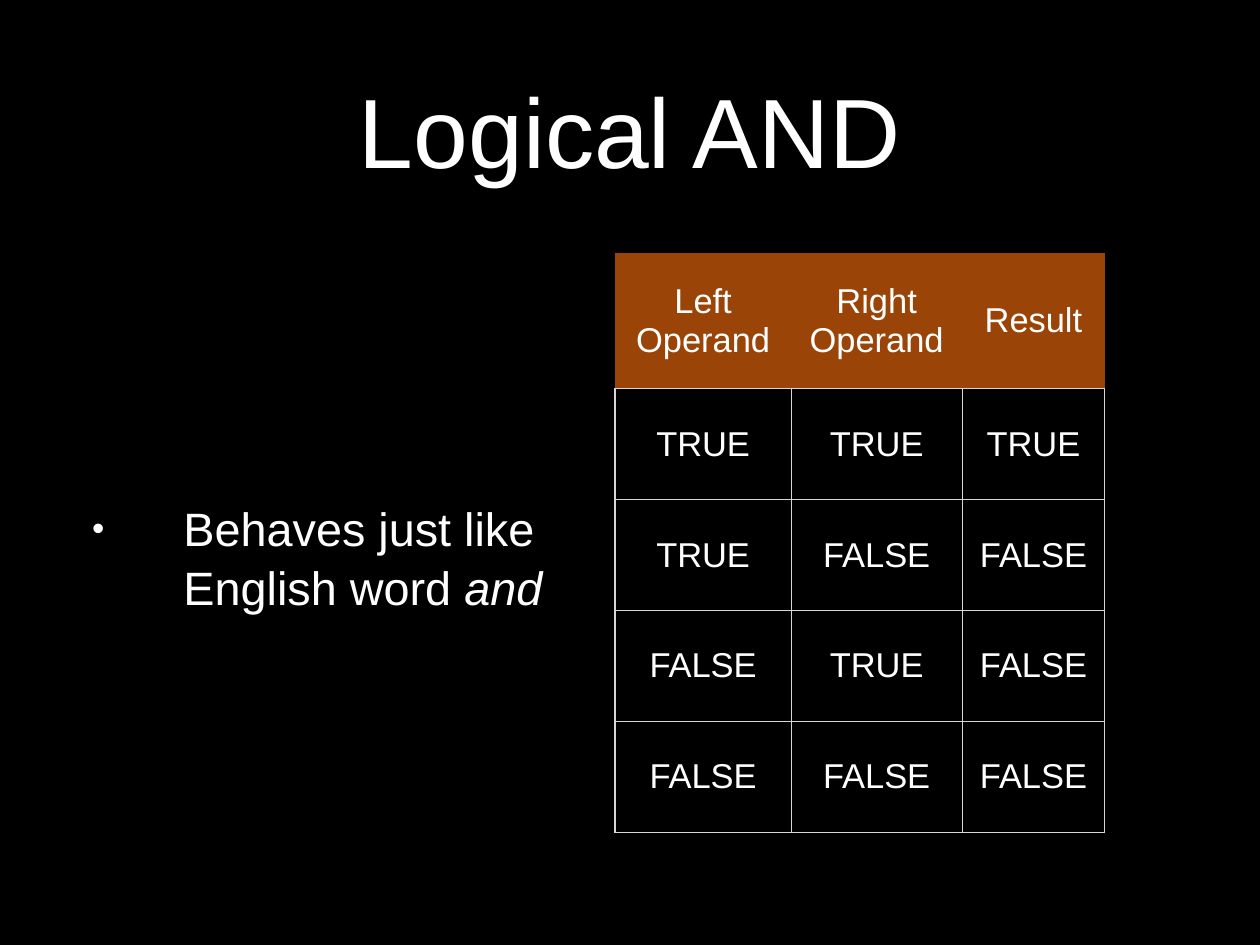
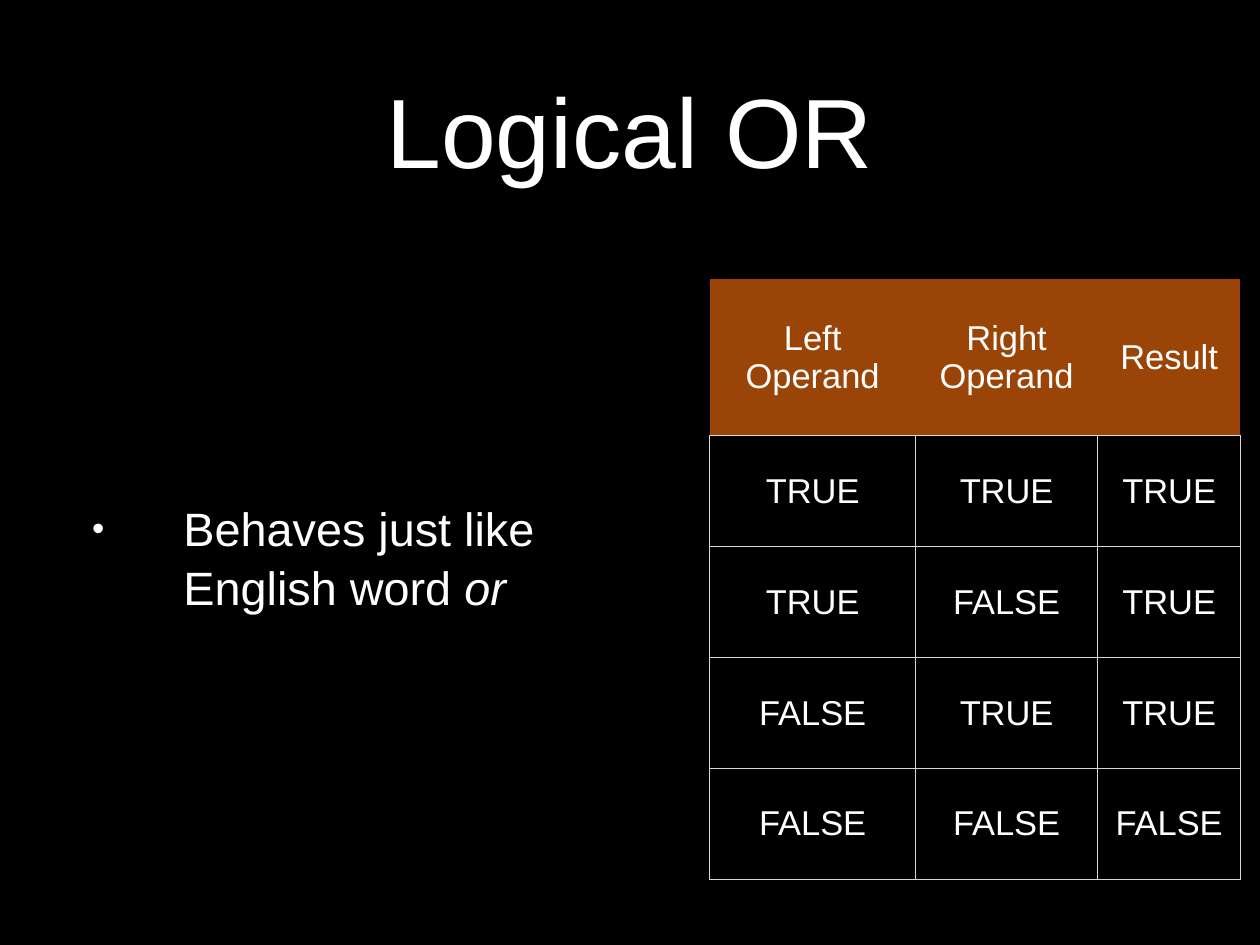
from dataclasses import dataclass

from lxml import etree
from pptx import Presentation
from pptx.dml.color import RGBColor
from pptx.enum import text as t
from pptx.oxml import ns
from pptx.util import Cm, Pt

# Content
HEAD = ["Left Operand", "Right Operand", "Result"]
PAIRS = [(True, True), (True, False), (False, True), (False, False)]
LEAD = "Behaves just like English word "
SLIDES = [
    dict(title="Logical AND", word="and", rule=lambda a, b: a and b,
         at=(17.63, 7.26), cols=(5.05, 4.9, 4.09), head=3.89),
    dict(title="Logical OR", word="or", rule=lambda a, b: a or b,
         at=(20.35, 8), cols=(5.89, 5.23, 4.09), head=4.5),
]


@dataclass(frozen=True)
class Theme:
    back: str = "000000"
    ink: str = "FFFFFF"
    band: str = "9B4407"
    grid: str = "D6D7D6"
    font: str = "Arial"
    title: int = 80
    body: int = 38
    cell: int = 28


THEME = Theme()
TITLE_BOX = (2.64, 0.71, 30.84, 6)
BODY_BOX = (2.64, 7.21, 14.22, 17.48)
ROW = 3.18
PAD = 0.15
INDENT = Cm(2.62)
NO_STYLE = "{2D5ABB26-0587-4C30-8999-92F81FD0307C}"


def paint(fill, color):
    fill.solid()
    fill.fore_color.rgb = RGBColor.from_string(color)


def style(para, size):
    for run in para.runs:
        run.font.name = THEME.font
        run.font.size = Pt(size)
        run.font.color.rgb = RGBColor.from_string(THEME.ink)


def frame(shape):
    """Middle-anchored, wrapping text frame without insets."""
    tf = shape.text_frame
    tf.margin_left = tf.margin_right = tf.margin_top = tf.margin_bottom = 0
    tf.auto_size = t.MSO_AUTO_SIZE.NONE
    tf.vertical_anchor = t.MSO_ANCHOR.MIDDLE
    tf.word_wrap = True
    return tf


def add_title(slide, words):
    shape = slide.shapes.title
    shape.left, shape.top, shape.width, shape.height = map(Cm, TITLE_BOX)
    tf = frame(shape)
    tf.text = words
    para = tf.paragraphs[0]
    para.alignment = t.PP_ALIGN.CENTER
    style(para, THEME.title)


def add_bullet(para):
    props = para._p.get_or_add_pPr()
    props.set("marL", str(INDENT))
    props.set("indent", str(-INDENT))
    color = etree.SubElement(props, ns.qn("a:buClr"))
    etree.SubElement(color, ns.qn("a:srgbClr"), val=THEME.ink)
    etree.SubElement(props, ns.qn("a:buSzPct"), val="75000")
    etree.SubElement(props, ns.qn("a:buFont"), typeface=THEME.font)
    etree.SubElement(props, ns.qn("a:buChar"), char="•")


def add_body(slide, word):
    para = frame(slide.shapes.add_textbox(*map(Cm, BODY_BOX))).paragraphs[0]
    add_bullet(para)
    para.line_spacing = 1.04
    para.add_run().text = LEAD
    last = para.add_run()
    last.text = word
    last.font.italic = True
    style(para, THEME.body)


def add_grid(cell):
    props = cell._tc.get_or_add_tcPr()
    for pos, side in enumerate("LRTB"):
        line = etree.Element(ns.qn("a:ln" + side), w=str(Pt(1)))
        fill = etree.SubElement(line, ns.qn("a:solidFill"))
        etree.SubElement(fill, ns.qn("a:srgbClr"), val=THEME.grid)
        props.insert(pos, line)


def add_truth(slide, item):
    """Truth table worked out from the rule of the operator."""
    rows = [HEAD] + [[str(v).upper() for v in (a, b, item["rule"](a, b))]
                     for a, b in PAIRS]
    highs = [item["head"]] + [ROW] * len(PAIRS)
    size = sum(item["cols"]), sum(highs)
    table = slide.shapes.add_table(len(rows), len(HEAD),
                                   *map(Cm, item["at"] + size)).table
    table.horz_banding = False
    table._tbl.tblPr.find(ns.qn("a:tableStyleId")).text = NO_STYLE
    for col, wide in zip(table.columns, item["cols"]):
        col.width = Cm(wide)
    for r, (row, high) in enumerate(zip(rows, highs)):
        table.rows[r].height = Cm(high)
        for c, words in enumerate(row):
            cell = table.cell(r, c)
            cell.text = words
            cell.vertical_anchor = t.MSO_ANCHOR.MIDDLE
            cell.margin_left = cell.margin_right = Cm(PAD)
            cell.margin_top = cell.margin_bottom = Cm(PAD)
            para = cell.text_frame.paragraphs[0]
            para.alignment = t.PP_ALIGN.CENTER
            style(para, THEME.cell)
            if r == 0:
                paint(cell.fill, THEME.band)
            else:
                cell.fill.background()
                add_grid(cell)


def main():
    prs = Presentation()
    prs.slide_width, prs.slide_height = Cm(36.12), Cm(27.1)
    paint(prs.slide_master.background.fill, THEME.back)
    for item in SLIDES:
        slide = prs.slides.add_slide(prs.slide_layouts[5])
        add_title(slide, item["title"])
        add_body(slide, item["word"])
        add_truth(slide, item)
    prs.save("out.pptx")


if __name__ == "__main__":
    main()
